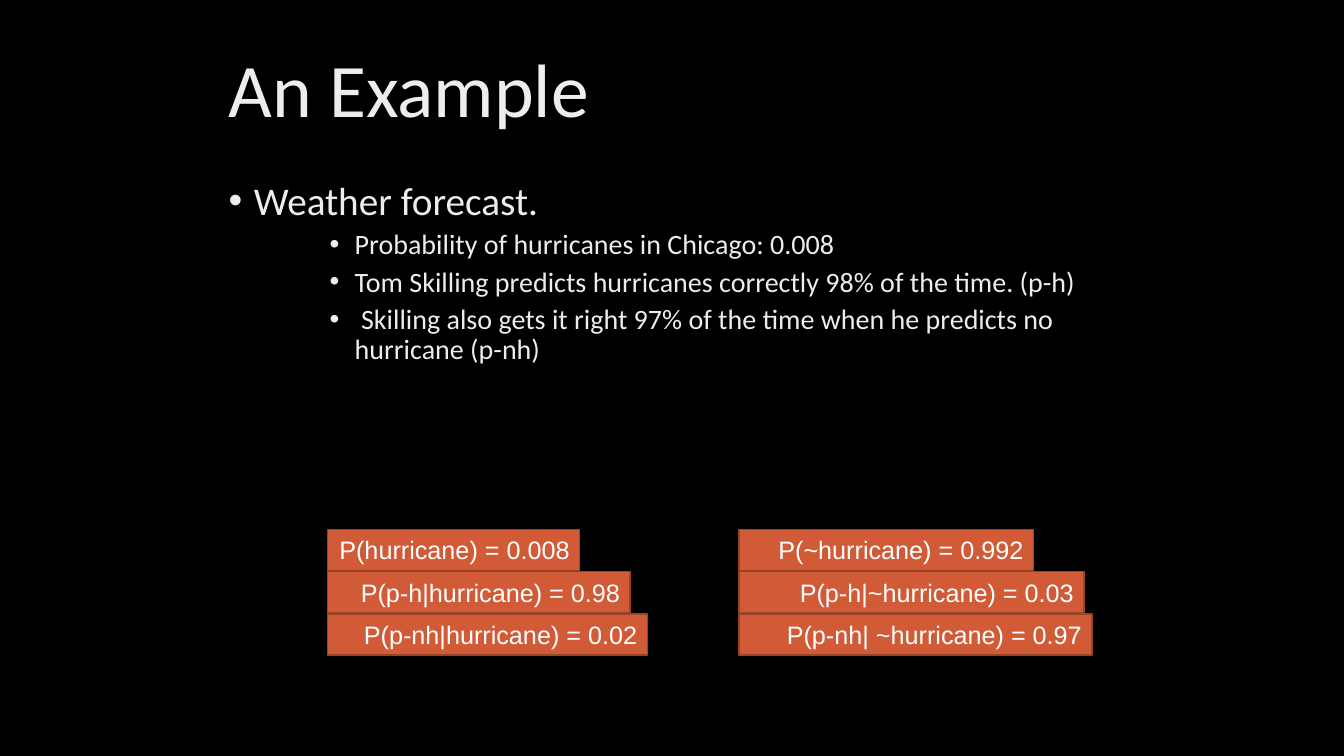
from lxml import etree
from pptx import Presentation
from pptx.dml.color import RGBColor
from pptx.enum.shapes import MSO_SHAPE
from pptx.enum.text import MSO_ANCHOR, PP_ALIGN
from pptx.oxml.ns import qn
from pptx.util import Inches, Pt

RECTANGLE = MSO_SHAPE.RECTANGLE
MIDDLE, TOP = MSO_ANCHOR.MIDDLE, MSO_ANCHOR.TOP
LEFT, RIGHT = PP_ALIGN.LEFT, PP_ALIGN.RIGHT

# Content
TITLE = "An Example"
# text, size, text indent in inches, space before in points
BULLETS = [
    ("Weather forecast.", 28, 0.25, 0),
    ("Probability of hurricanes in Chicago: 0.008", 20, 1.25, 5),
    ("Tom Skilling predicts hurricanes correctly 98% of the time. (p-h)", 20, 1.25, 5),
    (" Skilling also gets it right 97% of the time when he predicts no hurricane (p-nh)",
     20, 1.25, 5),
]
# left edge of each column, then its formulas with box widths
FORMULA_COLUMNS = [
    (3.25, [("P(hurricane) = 0.008", 2.5),
            ("P(p-h|hurricane) = 0.98", 3),
            ("P(p-nh|hurricane) = 0.02", 3.17)]),
    (7.33, [("P(~hurricane) = 0.992", 2.92),
            ("P(p-h|~hurricane) = 0.03", 3.42),
            ("P(p-nh| ~hurricane) = 0.97", 3.5)]),
]
FORMULA_TOP, FORMULA_HEIGHT, FORMULA_PITCH = 5.25, 0.41, 0.42
BLACK, PALE, WHITE, ORANGE, RUST = "000000", "EDEDED", "FFFFFF", "D15B37", "9B4329"


def color(code):
    return RGBColor.from_string(code)


def style(para, font, size, code, align=LEFT):
    para.alignment = align
    for span in para.runs:
        span.font.name = font
        span.font.size = Pt(size)
        span.font.color.rgb = color(code)


def add_text_box(page, top, height, anchor):
    box = page.shapes.add_textbox(Inches(2.17), Inches(top), Inches(9), Inches(height))
    box.text_frame.word_wrap = True
    box.text_frame.vertical_anchor = anchor
    return box.text_frame


def add_bullet(para, indent):
    properties = para._p.get_or_add_pPr()
    properties.set("marL", str(Inches(indent)))
    properties.set("indent", str(Inches(-0.25)))
    etree.SubElement(properties, qn("a:buFont")).set("typeface", "Arial")
    etree.SubElement(properties, qn("a:buChar")).set("char", "•")


def add_formula(page, text, left, top, width):
    box = page.shapes.add_shape(RECTANGLE, Inches(left), Inches(top),
                                Inches(width), Inches(FORMULA_HEIGHT))
    box.shadow.inherit = False
    box.fill.solid()
    box.fill.fore_color.rgb = color(ORANGE)
    box.line.color.rgb = color(RUST)
    box.line.width = Pt(1)
    frame = box.text_frame
    frame.word_wrap = True
    frame.vertical_anchor = MIDDLE
    frame.text = text
    style(frame.paragraphs[0], "Arial", 18, WHITE, RIGHT)


def main():
    deck = Presentation()
    deck.slide_width, deck.slide_height = Inches(13.33), Inches(7.5)
    page = deck.slides.add_slide(deck.slide_layouts[6])
    page.background.fill.solid()
    page.background.fill.fore_color.rgb = color(BLACK)

    # Title
    frame = add_text_box(page, 0.3, 1.25, MIDDLE)
    frame.text = TITLE
    frame.paragraphs[0].line_spacing = 0.9
    style(frame.paragraphs[0], "Calibri", 54, PALE)

    # Bullets
    frame = add_text_box(page, 1.75, 3, TOP)
    frame.text = "\n".join(text for text, *_ in BULLETS)
    for para, (_, size, indent, space) in zip(frame.paragraphs, BULLETS):
        add_bullet(para, indent)
        para.line_spacing = 0.9
        if space:
            para.space_before = Pt(space)
        style(para, "Calibri", size, PALE)

    # Probability boxes
    for left, formulas in FORMULA_COLUMNS:
        for row, (text, width) in enumerate(formulas):
            add_formula(page, text, left, FORMULA_TOP + row * FORMULA_PITCH, width)

    deck.save("out.pptx")


if __name__ == "__main__":
    main()
